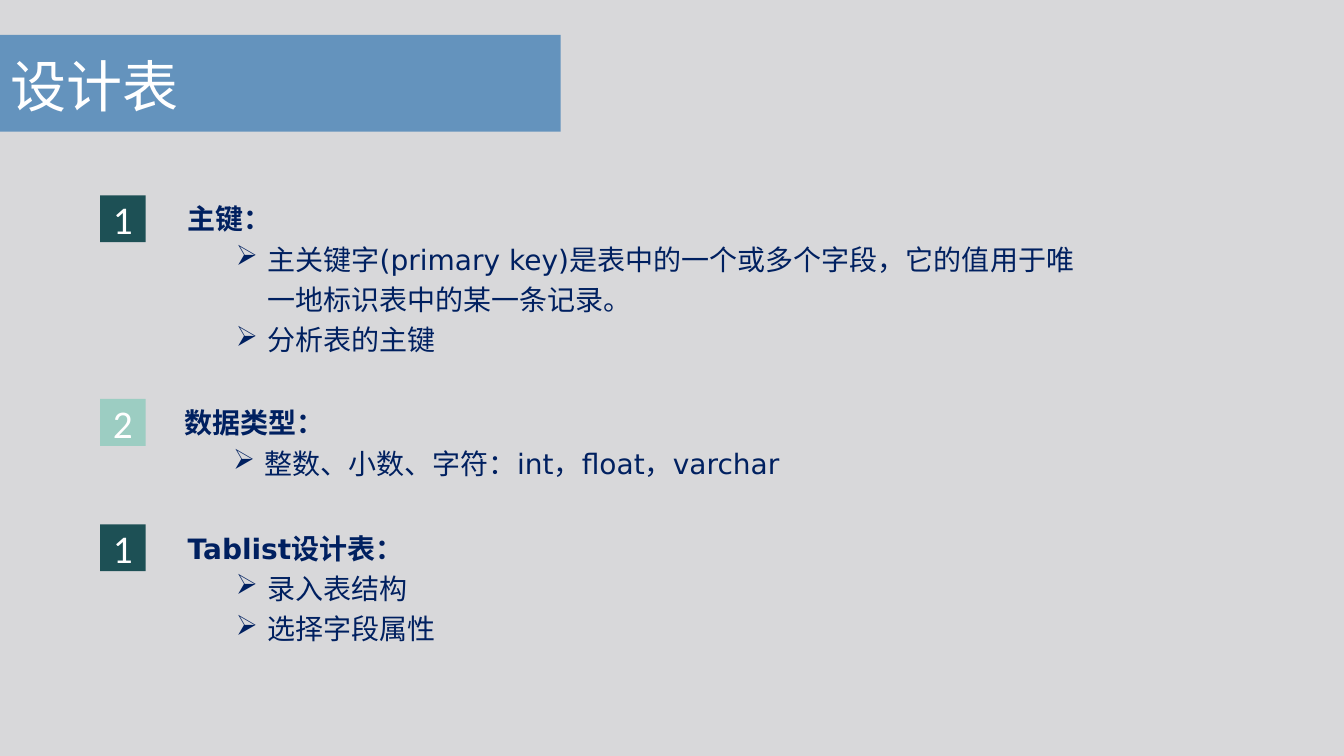
import dataclasses

import pptx
import pptx.dml.color
import pptx.enum.shapes
import pptx.enum.text
import pptx.oxml.ns
import pptx.util
from lxml import etree

Pt = pptx.util.Pt
ANCHOR = pptx.enum.text.MSO_ANCHOR
ALIGN = pptx.enum.text.PP_ALIGN


@dataclasses.dataclass(frozen=True)
class Theme:
    background: str = "D8D8DA"
    title_bar: str = "3477B2"
    dark_badge: str = "1D5055"
    light_badge: str = "9CCDC2"
    white: str = "FFFFFF"
    navy: str = "002060"
    title_font: str = "Arial"
    badge_font: str = "Calibri"
    body_font: str = "DejaVu Sans"
    title_size: int = 40
    badge_size: int = 28
    body_size: int = 20


THEME = Theme()

# Badge number, badge colour, top, text left, text height, heading, points
SECTIONS = [
    ("1", THEME.dark_badge, 139.5, 134, 130, "主键：",
     ["主关键字(primary key)是表中的一个或多个字段，它的值用于唯一地标识表中的某一条记录。",
      "分析表的主键"]),
    ("2", THEME.light_badge, 285, 132, 71, "数据类型：",
     ["整数、小数、字符：int，float，varchar"]),
    ("1", THEME.dark_badge, 374.5, 134, 90, "Tablist设计表：",
     ["录入表结构", "选择字段属性"]),
]


def rgb(value):
    return pptx.dml.color.RGBColor.from_string(value)


def add_xml(parent, tag, **attributes):
    return etree.SubElement(parent, pptx.oxml.ns.qn(tag), attributes)


def write_text(paragraph, text, *, font, size, color, bold=False,
               align=ALIGN.LEFT, spacing=None, bullet=None):
    paragraph.alignment = align
    if spacing:
        paragraph.line_spacing = spacing
    if bullet:
        properties = paragraph._p.get_or_add_pPr()
        properties.set("marL", str(Pt(57)))
        properties.set("indent", str(Pt(-22.5)))
        add_xml(properties, "a:buChar", char=bullet)
    run = paragraph.add_run()
    run.text = text
    run.font.name = font
    run.font.size = Pt(size)
    run.font.bold = bold
    run.font.color.rgb = rgb(color)


def add_rectangle(shapes, left, top, width, height, color):
    shape = shapes.add_shape(pptx.enum.shapes.MSO_SHAPE.RECTANGLE,
                             Pt(left), Pt(top), Pt(width), Pt(height))
    shape.shadow.inherit = False
    shape.fill.solid()
    shape.fill.fore_color.rgb = rgb(color)
    shape.line.fill.background()
    return shape


def add_text_frame(shapes, left, top, width, height, anchor):
    box = shapes.add_textbox(Pt(left), Pt(top), Pt(width), Pt(height))
    frame = box.text_frame
    frame.word_wrap = True
    frame.vertical_anchor = anchor
    return frame


def add_title(slide, left, top, width, height):
    # Translucent bar
    bar = add_rectangle(slide.shapes, left, top, width, height, THEME.title_bar)
    color = bar.fill._xPr.find(".//" + pptx.oxml.ns.qn("a:srgbClr"))
    add_xml(color, "a:alpha", val="70000")
    # Title
    frame = add_text_frame(slide.shapes, left + 0.7, top - 4, width - 6,
                           height + 11, ANCHOR.MIDDLE)
    write_text(frame.paragraphs[0], "设计表", font=THEME.title_font,
               size=THEME.title_size, color=THEME.white)


def add_section(slide, left, top, text_left, width, height,
                number, color, heading, points):
    shapes = slide.shapes.add_group_shape().shapes
    # Numbered badge
    badge = add_rectangle(shapes, left, top, 32.5, 33.5, color)
    badge.text_frame.vertical_anchor = ANCHOR.MIDDLE
    write_text(badge.text_frame.paragraphs[0], number, font=THEME.badge_font,
               size=THEME.badge_size, color=THEME.white, align=ALIGN.CENTER)
    # Heading and its points
    frame = add_text_frame(shapes, text_left, top, width, height, ANCHOR.TOP)
    frame.margin_left = frame.margin_right = 0
    frame.margin_top = frame.margin_bottom = 0
    body = dict(font=THEME.body_font, size=THEME.body_size,
                color=THEME.navy, spacing=1.2)
    write_text(frame.paragraphs[0], heading, bold=True, **body)
    for point in points:
        write_text(frame.add_paragraph(), point, bullet="➢", **body)


def main():
    presentation = pptx.Presentation()
    presentation.slide_width = Pt(960)
    presentation.slide_height = Pt(540)
    slide = presentation.slides.add_slide(presentation.slide_layouts[6])
    slide.background.fill.solid()
    slide.background.fill.fore_color.rgb = rgb(THEME.background)

    add_title(slide, 0, 25, 400.5, 69)
    for number, color, top, text_left, height, heading, points in SECTIONS:
        add_section(slide, 71.5, top, text_left, 635, height,
                    number, color, heading, points)
    presentation.save("out.pptx")


if __name__ == "__main__":
    main()
